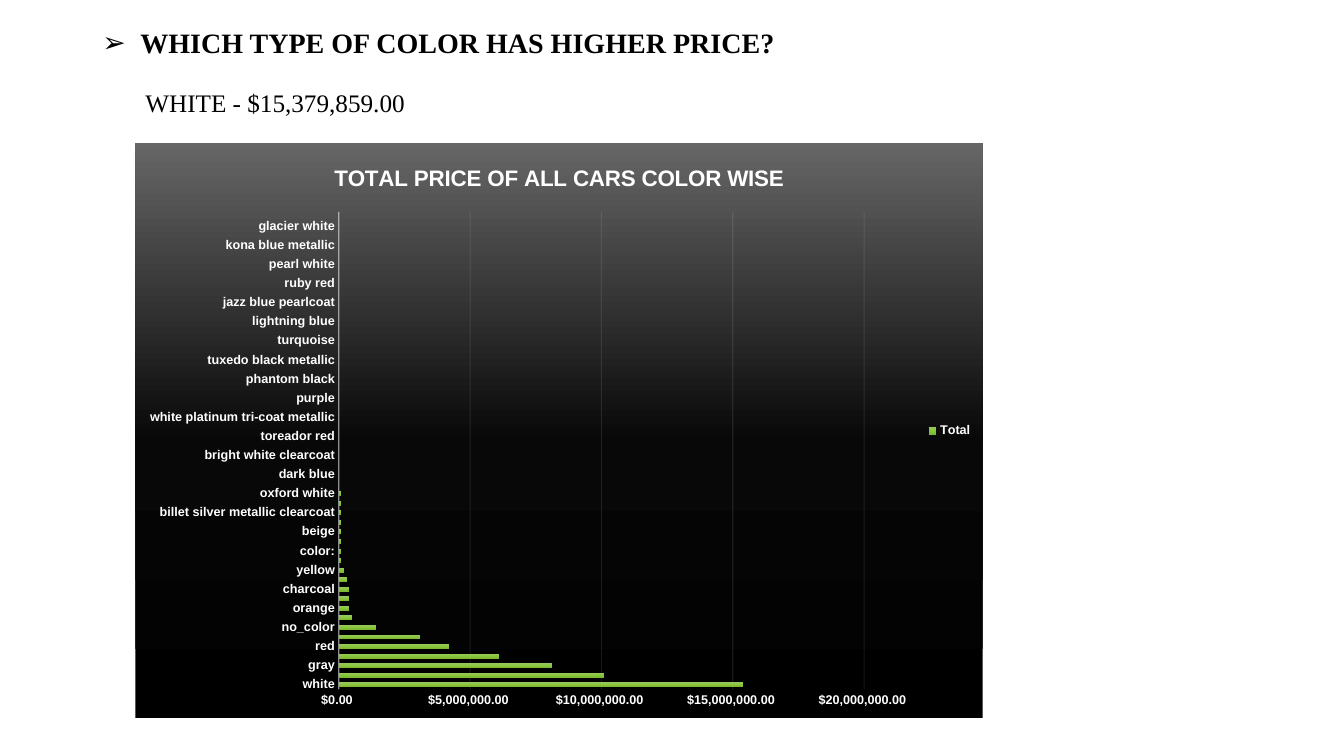
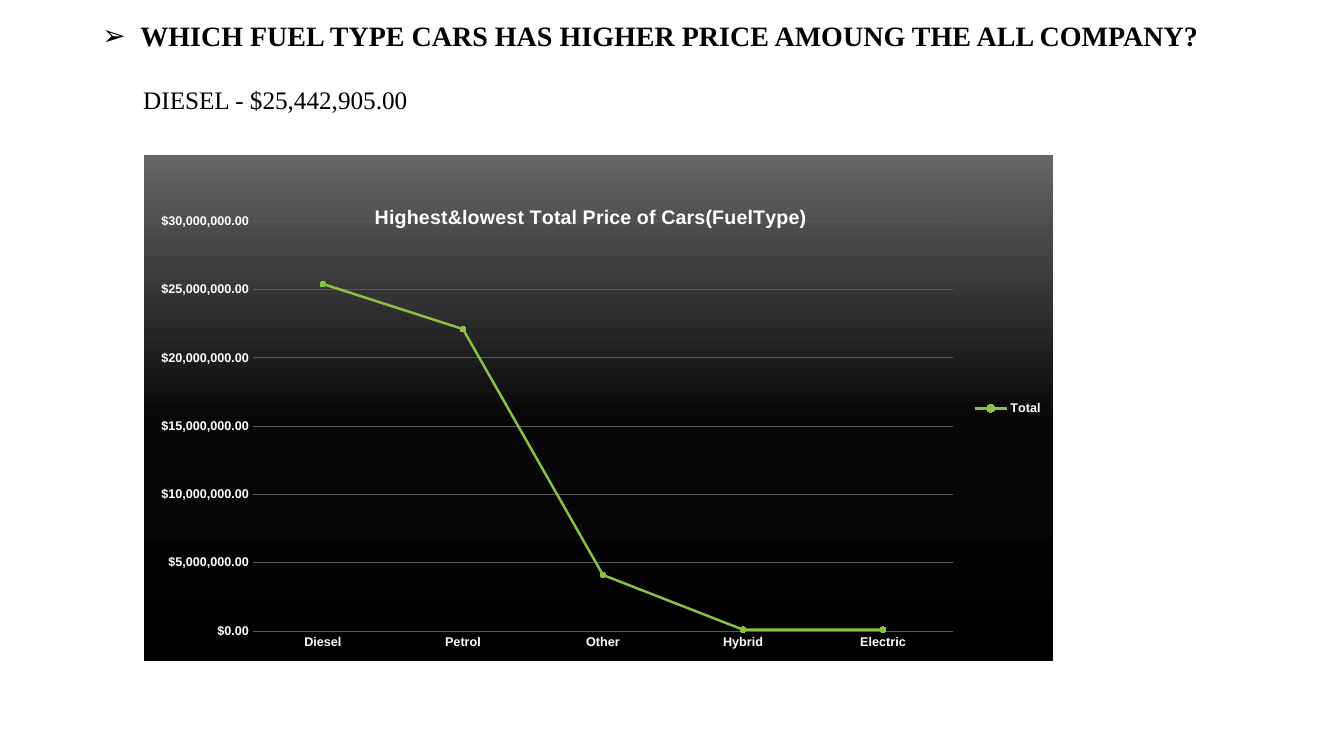
from dataclasses import dataclass

from pptx import Presentation
from pptx.chart.data import CategoryChartData
from pptx.dml.color import RGBColor
from pptx.enum.chart import XL_CHART_TYPE, XL_LEGEND_POSITION, XL_MARKER_STYLE, XL_TICK_MARK
from pptx.enum.text import MSO_ANCHOR, MSO_AUTO_SIZE, PP_ALIGN
from pptx.oxml import parse_xml
from pptx.oxml.ns import nsdecls, qn
from pptx.util import Emu, Pt

PX = 9525  # EMU per px, 96 px to the inch
COLORS = {
    "text": "000000", "label": "FFFFFF", "axis": "F2F2F2", "grid": "595959",
    "line": "8BC145", "marker": "B9DA8F",
}
CHART_GRADIENT = [(0, "000000"), (48, "080808"), (100, "666666")]
BAR_GRADIENT = [(0, "98C862"), (50, "8CC73F"), (100, "7DB831")]
TEXT_FONT, CHART_FONT = "Times New Roman", "Arial"
TITLE_ONLY = 5


@dataclass(frozen=True)
class Box:
    x: int
    y: int
    w: int
    h: int

    def emu(self) -> list[Emu]:
        return [Emu(v * PX) for v in (self.x, self.y, self.w, self.h)]


@dataclass(frozen=True)
class ChartSpec:
    kind: XL_CHART_TYPE
    box: Box
    title: str
    title_size: int
    title_at: tuple[float, float]
    plot_at: tuple[float, float, float, float]
    cats: list[str]
    values: list[int]
    maximum: int
    number_format: str


@dataclass(frozen=True)
class SlideSpec:
    title: str
    title_box: Box
    answer: str
    answer_box: Box
    chart: ChartSpec


COLOR_NAMES = [
    "white", "black", "gray", "silver", "red", "blue", "no_color", "green", "orange",
    "gold", "charcoal", "brown", "yellow", "magnetic metallic", "color:",
    "ingot silver metallic", "beige", "shadow black", "billet silver metallic clearcoat",
    "triple yellow tri-coat", "oxford white", "black clearcoat", "dark blue",
    "ruby red metallic tinted clearcoat", "bright white clearcoat", "off-white",
    "toreador red", "ingot silver", "white platinum tri-coat metallic",
    "royal crimson metallic tinted clearcoat", "purple", "super black", "phantom black",
    "competition orange", "tuxedo black metallic", "light blue", "turquoise", "Finlad",
    "lightning blue", "cayenne red", "jazz blue pearlcoat", "guard", "ruby red", "maroon",
    "pearl white", "tan", "kona blue metallic", "morningsky blue", "glacier white",
    "burgundy",
]
COLOR_TOTALS = [
    15400000, 10100000, 8100000, 6100000, 4200000, 3100000, 1400000,
    500000, 400000, 400000, 400000, 300000, 200000,
] + [100000] * 8 + [0] * 29

SLIDES = [
    SlideSpec(
        "WHICH TYPE OF COLOR HAS HIGHER PRICE?", Box(88, 15, 1104, 54),
        "WHITE - $15,379,859.00", Box(129, 78, 680, 38),
        ChartSpec(
            XL_CHART_TYPE.BAR_CLUSTERED, Box(129, 136, 807, 548),
            "TOTAL PRICE OF ALL CARS COLOR WISE", 16, (0.23, 0.03),
            (0.24, 0.12, 0.62, 0.83), COLOR_NAMES, COLOR_TOTALS, 20000000,
            '"$"#,##0.00_);\\("$"#,##0.00\\)',
        ),
    ),
    SlideSpec(
        "WHICH FUEL TYPE CARS HAS HIGHER PRICE AMOUNG THE ALL COMPANY?",
        Box(88, 13, 1104, 46),
        "DIESEL - $25,442,905.00", Box(127, 76, 453, 38),
        ChartSpec(
            XL_CHART_TYPE.LINE_MARKERS, Box(137, 148, 866, 482),
            "Highest&lowest Total Price of Cars(FuelType)", 14, (0.25, 0.09),
            (0.12, 0.13, 0.77, 0.81),
            ["Diesel", "Petrol", "Other", "Hybrid", "Electric"],
            [25400000, 22100000, 4100000, 100000, 100000], 30000000,
            '"$"#,##0.00',
        ),
    ),
]


def rgb(name: str) -> RGBColor:
    return RGBColor.from_string(COLORS[name])


def style_font(font, size: int, *, name=CHART_FONT, color="label", bold=True) -> None:
    font.name, font.size, font.bold = name, Pt(size), bold
    font.color.rgb = rgb(color)


def write_text(tf, text: str, size: int, **fmt):
    """Fill a text frame with one formatted run and return its paragraph."""
    p = tf.paragraphs[0]
    r = p.add_run()
    r.text = text
    style_font(r.font, size, **fmt)
    return p


def gradient_xml(stops: list[tuple[int, str]], angle: int) -> str:
    gs = "".join(
        f'<a:gs pos="{pos * 1000}"><a:srgbClr val="{color}"/></a:gs>' for pos, color in stops
    )
    return (f'<a:gradFill {nsdecls("a")}><a:gsLst>{gs}</a:gsLst>'
            f'<a:lin ang="{angle * 60000}" scaled="0"/></a:gradFill>')


def style_line(line, color: str, width: float, alpha: int = 100) -> None:
    line.width = Pt(width)
    line.color.rgb = rgb(color)
    if alpha < 100:
        clr = next(line._get_or_add_ln().iter(qn("a:srgbClr")))
        clr.append(parse_xml(f'<a:alpha {nsdecls("a")} val="{alpha * 1000}"/>'))


def place(parent, index: int, fractions: tuple[float, ...]) -> None:
    """Give a chart part a manual layout, in fractions of the chart."""
    for old in parent.findall(qn("c:layout")):
        parent.remove(old)
    target = '<c:layoutTarget val="inner"/>' if len(fractions) == 4 else ""
    modes = '<c:xMode val="edge"/><c:yMode val="edge"/>'
    sizes = "".join(f'<c:{k} val="{v}"/>' for k, v in zip("xywh", fractions))
    parent.insert(index, parse_xml(
        f'<c:layout {nsdecls("c")}><c:manualLayout>{target}{modes}{sizes}'
        "</c:manualLayout></c:layout>"))


def add_title(s, text: str, box: Box) -> None:
    sp = s.shapes.title
    sp.left, sp.top, sp.width, sp.height = box.emu()
    tf = sp.text_frame
    tf.word_wrap, tf.auto_size = True, MSO_AUTO_SIZE.NONE
    tf.vertical_anchor = MSO_ANCHOR.MIDDLE
    p = write_text(tf, text, 20, name=TEXT_FONT, color="text")
    p.alignment, p.line_spacing = PP_ALIGN.LEFT, 0.9
    # Arrow bullet with a hanging indent
    pPr = p._p.get_or_add_pPr()
    pPr.set("marL", str(36 * PX))
    pPr.set("indent", str(-36 * PX))
    for bullet in (
        f'<a:buClr {nsdecls("a")}><a:srgbClr val="{COLORS["text"]}"/></a:buClr>',
        f'<a:buFont {nsdecls("a")} typeface="{CHART_FONT}"/>',
        f'<a:buChar {nsdecls("a")} char="➢"/>',
    ):
        pPr.append(parse_xml(bullet))


def add_answer(s, text: str, box: Box) -> None:
    tf = s.shapes.add_textbox(*box.emu()).text_frame
    tf.word_wrap, tf.auto_size = True, MSO_AUTO_SIZE.SHAPE_TO_FIT_TEXT
    write_text(tf, text, 18, name=TEXT_FONT, color="text", bold=False)


def style_axes(chart, spec: ChartSpec, is_bar: bool) -> None:
    cat, val = chart.category_axis, chart.value_axis
    for axis in (cat, val):
        axis.major_tick_mark = axis.minor_tick_mark = XL_TICK_MARK.NONE
        style_font(axis.tick_labels.font, 9)
        axis.format.line.fill.background()
    val.minimum_scale, val.maximum_scale, val.major_unit = 0, spec.maximum, 5000000
    val.tick_labels.number_format = spec.number_format
    val.tick_labels.number_format_is_linked = False
    val.has_major_gridlines = True
    grid = val.major_gridlines.format.line
    if is_bar:
        style_line(cat.format.line, "axis", 1, 54)
        style_line(grid, "axis", 0.75, 10)
    else:
        style_line(grid, "grid", 0.75)


def style_series(plot, is_bar: bool) -> None:
    plot.vary_by_categories = False
    series = plot.series[0]
    if is_bar:
        plot.gap_width, plot.overlap = 115, -20
        series._element.get_or_add_spPr().insert(
            0, parse_xml(gradient_xml(BAR_GRADIENT, 90)))
        return
    series.smooth = False
    style_line(series.format.line, "line", 1.75)
    marker = series.marker
    marker.style, marker.size = XL_MARKER_STYLE.CIRCLE, 4
    marker.format.fill.solid()
    marker.format.fill.fore_color.rgb = rgb("marker")
    style_line(marker.format.line, "line", 0.75)


def add_price_chart(s, spec: ChartSpec) -> None:
    data = CategoryChartData()
    data.categories = spec.cats
    data.add_series("Total", spec.values)
    chart = s.shapes.add_chart(spec.kind, *spec.box.emu(), data).chart
    is_bar = spec.kind == XL_CHART_TYPE.BAR_CLUSTERED
    style_font(chart.font, 10)

    # Title and legend
    chart.has_title = True
    write_text(chart.chart_title.text_frame, spec.title, spec.title_size)
    place(chart.chart_title._element, 1, spec.title_at)
    chart.has_legend = True
    chart.legend.position = XL_LEGEND_POSITION.RIGHT
    chart.legend.include_in_layout = False
    style_font(chart.legend.font, 9)

    style_axes(chart, spec, is_bar)
    style_series(chart.plots[0], is_bar)

    # Plot position and dark gradient behind the chart
    body = chart.element.find(qn("c:chart"))
    place(body.find(qn("c:plotArea")), 0, spec.plot_at)
    body.addnext(parse_xml(
        f'<c:spPr {nsdecls("c", "a")}>{gradient_xml(CHART_GRADIENT, 270)}'
        "<a:ln><a:noFill/></a:ln></c:spPr>"))


def main() -> None:
    prs = Presentation()
    prs.slide_width, prs.slide_height = Emu(1280 * PX), Emu(720 * PX)
    for spec in SLIDES:
        s = prs.slides.add_slide(prs.slide_layouts[TITLE_ONLY])
        add_title(s, spec.title, spec.title_box)
        add_answer(s, spec.answer, spec.answer_box)
        add_price_chart(s, spec.chart)
    prs.save("out.pptx")


if __name__ == "__main__":
    main()
